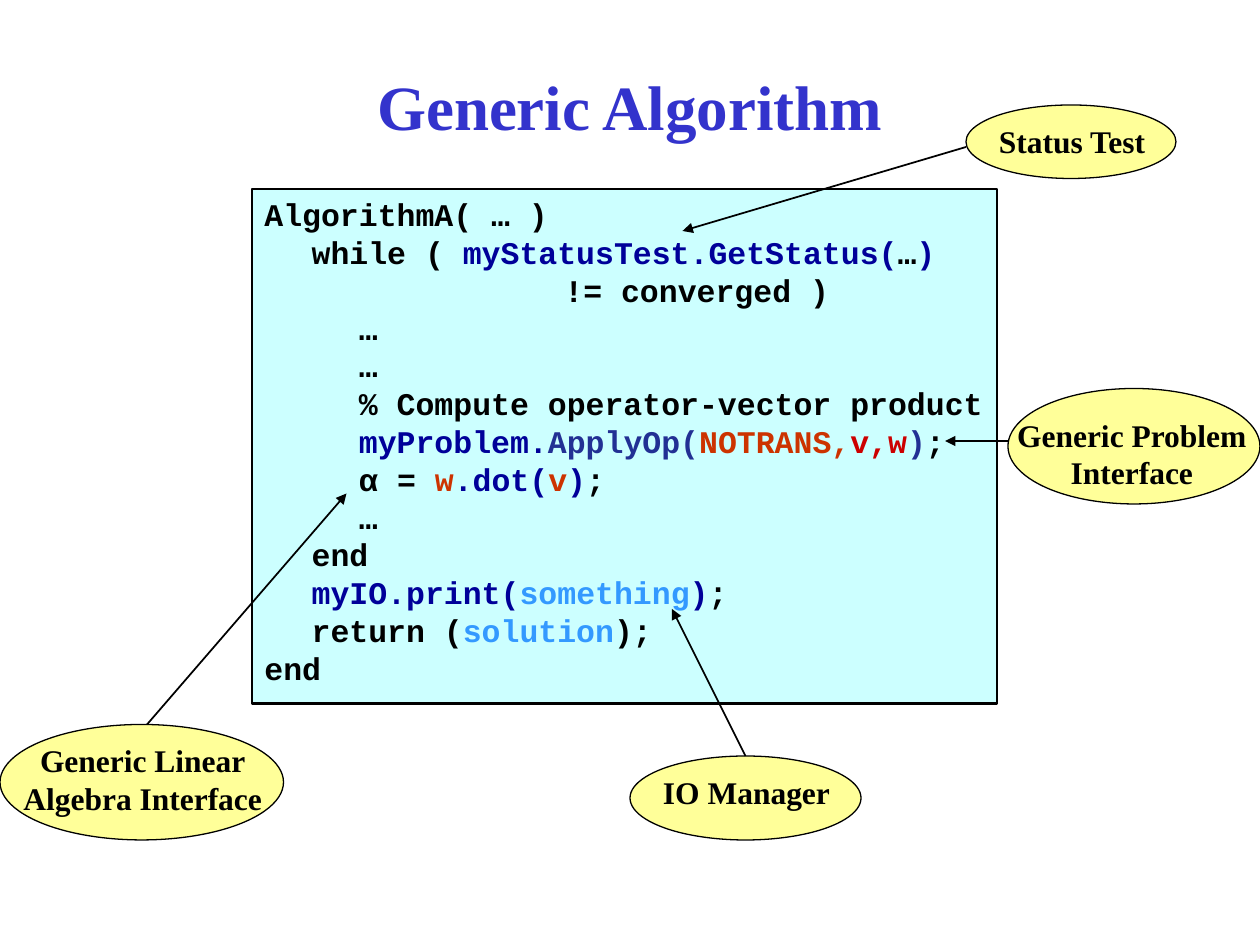
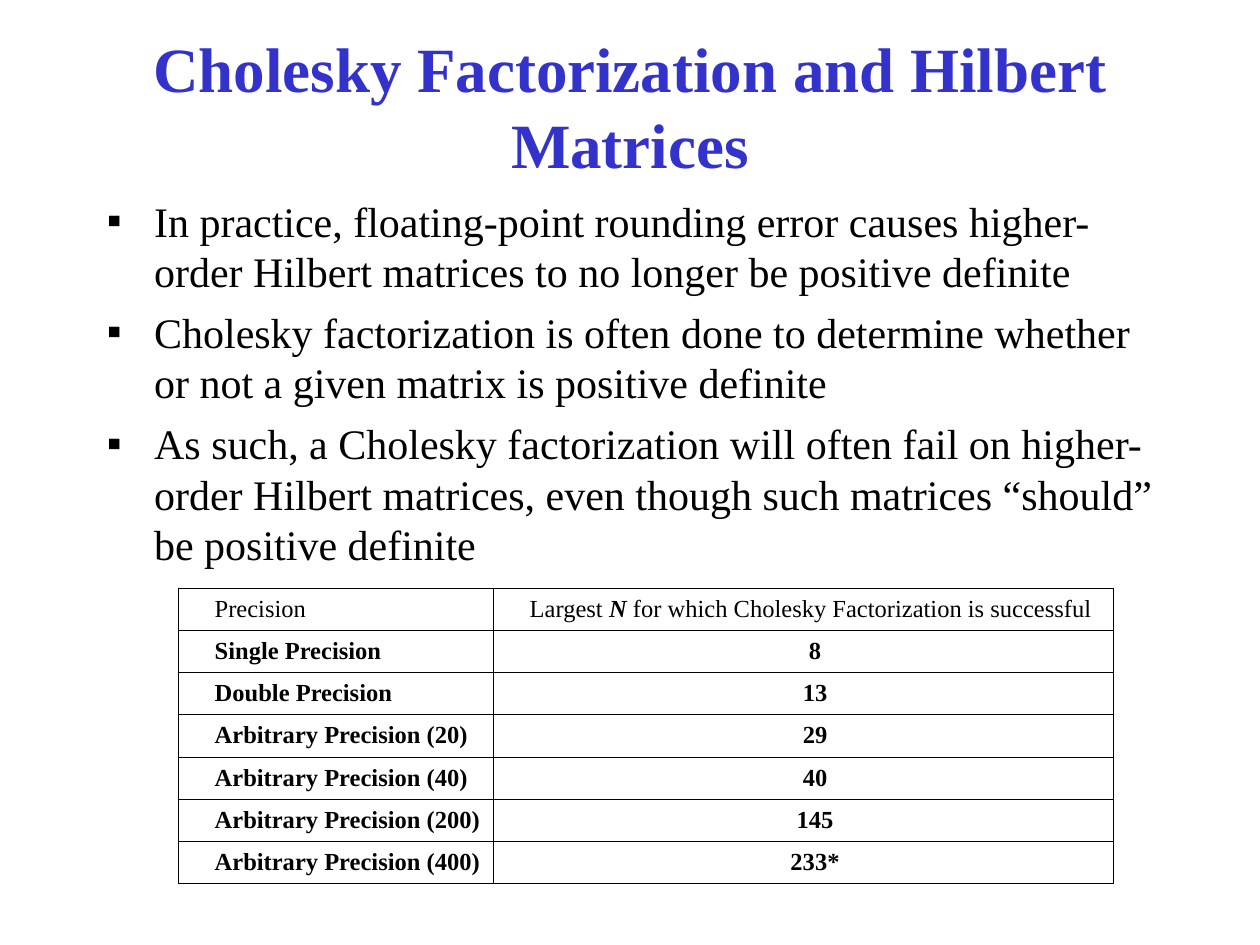
from lxml import etree
from pptx import Presentation, util as u
from pptx.dml.color import RGBColor
from pptx.enum import shapes, text
from pptx.oxml.ns import qn

GRID = u.Inches(1) // 12  # the slide is 120 columns by 90 rows
BLACK, TITLE_BLUE, CODE_BLUE = "000000", "3333CC", "000099"
OP_BLUE, SKY, RUST, RED = "223094", "3399FF", "CC3300", "CC0000"
CODE_FILL, CALLOUT_FILL = "CCFFFF", "FFFF99"
SERIF, MONO = "Times New Roman", "Courier New"
CENTER, LEFT = text.PP_ALIGN.CENTER, text.PP_ALIGN.LEFT
INDENT = int(4.5 * GRID)


def rgb(value):
    return RGBColor.from_string(value)


def write(frame, lines, size, font=SERIF, bold=True, align=CENTER, margin=0):
    """Fill a frame with one paragraph per line; a line is a list of (words, colour)."""
    for number, line in enumerate(lines):
        para = frame.add_paragraph() if number else frame.paragraphs[0]
        para.alignment = align
        para.line_spacing = u.Pt(size * 1.2)
        para._p.get_or_add_pPr().set("marL", str(int(margin)))
        for words, colour in line:
            span = para.add_run()
            span.text = words
            span.font.name = "Arial" if words == "α" else font
            span.font.size = u.Pt(size)
            span.font.bold = bold
            span.font.color.rgb = rgb(colour)


deck = Presentation()
deck.slide_width, deck.slide_height = 120 * GRID, 90 * GRID

# Both pages carry the same title style
pages = []
for title in ("Generic Algorithm", "Cholesky Factorization and Hilbert Matrices"):
    page = deck.slides.add_slide(deck.slide_layouts[6])
    box = page.shapes.add_textbox(9 * GRID, 3 * GRID, 102 * GRID, 14 * GRID)
    box.text_frame.word_wrap = True
    box.text_frame.vertical_anchor = text.MSO_ANCHOR.MIDDLE
    write(box.text_frame, [[(title, TITLE_BLUE)]], 36)
    pages.append(page)
algorithm_page, cholesky_page = pages

# Slide 1: the algorithm, each line with its indent level
code = [
    (0, [("AlgorithmA( … )", BLACK)]),
    (1, [("while ( ", BLACK), ("myStatusTest.GetStatus(", CODE_BLUE),
         ("…", BLACK), (")", CODE_BLUE)]),
    (6.35, [("!= converged )", BLACK)]),
    (2, [("…", BLACK)]),
    (2, [("…", BLACK)]),
    (2, [("% Compute operator-vector product", BLACK)]),
    (2, [("myProblem.", CODE_BLUE), ("ApplyOp(", OP_BLUE), ("NOTRANS,", RUST),
         ("v,w", RED), (")", OP_BLUE), (";", BLACK)]),
    (2, [("α", BLACK), (" = ", BLACK), ("w", RUST), (".dot(", CODE_BLUE),
         ("v", RUST), (")", CODE_BLUE), (";", BLACK)]),
    (2, [("…", BLACK)]),
    (1, [("end", BLACK)]),
    (1, [("myIO.print(", CODE_BLUE), ("something", SKY), (")", CODE_BLUE), (";", BLACK)]),
    (1, [("return (", BLACK), ("solution", SKY), (");", BLACK)]),
    (0, [("end", BLACK)]),
]
box = algorithm_page.shapes.add_shape(
    shapes.MSO_SHAPE.RECTANGLE, 24 * GRID, 18 * GRID, 71 * GRID, 49 * GRID)
box.shadow.inherit = False
box.fill.solid()
box.fill.fore_color.rgb = rgb(CODE_FILL)
box.line.color.rgb = rgb(BLACK)
box.line.width = u.Pt(1.25)
box.text_frame.word_wrap = True
box.text_frame.vertical_anchor = text.MSO_ANCHOR.TOP
write(box.text_frame, [line for _, line in code], 18, MONO, align=LEFT)
for (level, _), para in zip(code, box.text_frame.paragraphs):
    para._p.pPr.set("marL", str(int(level * INDENT)))

# Callouts: label lines, ellipse, label box, arrow ends; all in grid cells
callouts = [
    (["Status Test"], (92, 10, 20, 7), (92, 11, 20.2, 4.8), (92, 14, 65, 22)),
    (["Generic Problem", "Interface"],
     (96, 37, 24, 11), (95.4, 39, 24.8, 8.4), (96, 42, 90, 42)),
    (["Generic Linear", "Algebra Interface"],
     (0, 69, 27, 11), (0.6, 70, 26, 8.4), (14, 69, 33, 47)),
    (["IO Manager"], (60, 72, 22, 8), (61, 73, 20.2, 4.8), (71, 72, 64, 58)),
]
for label, oval_cells, label_cells, arrow_cells in callouts:
    oval = algorithm_page.shapes.add_shape(
        shapes.MSO_SHAPE.OVAL, *(cell * GRID for cell in oval_cells))
    oval.shadow.inherit = False
    oval.fill.solid()
    oval.fill.fore_color.rgb = rgb(CALLOUT_FILL)
    oval.line.color.rgb = rgb(BLACK)
    oval.line.width = u.Pt(0.75)

    arrow = algorithm_page.shapes.add_connector(
        shapes.MSO_CONNECTOR.STRAIGHT, *(cell * GRID for cell in arrow_cells))
    arrow.line.color.rgb = rgb(BLACK)
    arrow.line.width = u.Pt(1)
    etree.SubElement(arrow.line._ln, qn("a:tailEnd"), type="triangle")
    etree.SubElement(arrow._element.spPr, qn("a:effectLst"))

    box = algorithm_page.shapes.add_textbox(*(int(cell * GRID) for cell in label_cells))
    box.text_frame.word_wrap = False
    write(box.text_frame, [[(words, BLACK)] for words in label], 18)

# Slide 2: bullets
points = [
    "In practice, floating-point rounding error causes higher-order Hilbert matrices "
    "to no longer be positive definite",
    "Cholesky factorization is often done to determine whether or not a given matrix "
    "is positive definite",
    "As such, a Cholesky factorization will often fail on higher-order Hilbert matrices, "
    "even though such matrices “should” be positive definite",
]
box = cholesky_page.shapes.add_textbox(9 * GRID, 18 * GRID, 102 * GRID, 63 * GRID)
box.text_frame.word_wrap = True
write(box.text_frame, [[(point, BLACK)] for point in points], 24,
      bold=False, align=LEFT, margin=INDENT)
for para in box.text_frame.paragraphs:
    para.space_before = u.Pt(6)
    para._p.pPr.set("indent", str(-INDENT))
    bullet_colour = etree.SubElement(para._p.pPr, qn("a:buClr"))
    etree.SubElement(bullet_colour, qn("a:srgbClr"), val=BLACK)
    etree.SubElement(para._p.pPr, qn("a:buFont"), typeface=SERIF)
    etree.SubElement(para._p.pPr, qn("a:buChar"), char="▪")

# Slide 2: table of the largest matrix order for each precision
results = [
    (["Precision"], ["Largest ", "N", " for which Cholesky Factorization is successful"]),
    (["Single Precision"], ["8"]),
    (["Double Precision"], ["13"]),
    (["Arbitrary Precision (20)"], ["29"]),
    (["Arbitrary Precision (40)"], ["40"]),
    (["Arbitrary Precision (200)"], ["145"]),
    (["Arbitrary Precision (400)"], ["233*"]),
]
table = cholesky_page.shapes.add_table(
    len(results), 2, 17 * GRID, 56 * GRID, 89 * GRID, u.Inches(2.35)).table
table.first_row = table.horz_banding = False
table.columns[0].width, table.columns[1].width = 30 * GRID, 59 * GRID
for row, entries in enumerate(results):
    for column, entry in enumerate(entries):
        cell = table.cell(row, column)
        cell.margin_top = u.Inches(0.04)
        write(cell.text_frame, [[(words, BLACK) for words in entry]], 14, bold=row > 0,
              align=CENTER if row and column else LEFT, margin=INDENT / 2)
        for side in ("a:lnL", "a:lnR", "a:lnT", "a:lnB"):
            border = etree.SubElement(cell._tc.get_or_add_tcPr(), qn(side), w=str(u.Pt(0.45)))
            border_fill = etree.SubElement(border, qn("a:solidFill"))
            etree.SubElement(border_fill, qn("a:srgbClr"), val=BLACK)
        cell.fill.background()
order_symbol = table.cell(0, 1).text_frame.paragraphs[0].runs[1]
order_symbol.font.bold = order_symbol.font.italic = True

deck.save("out.pptx")
